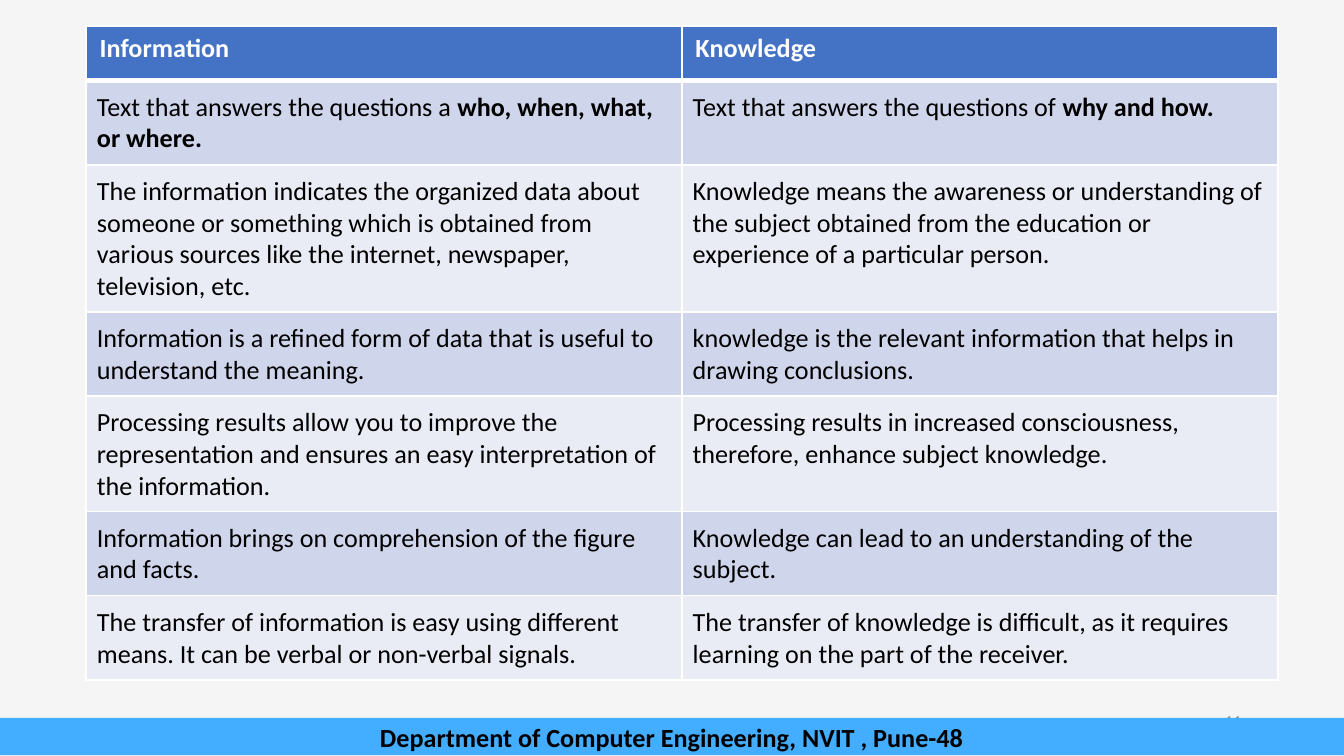
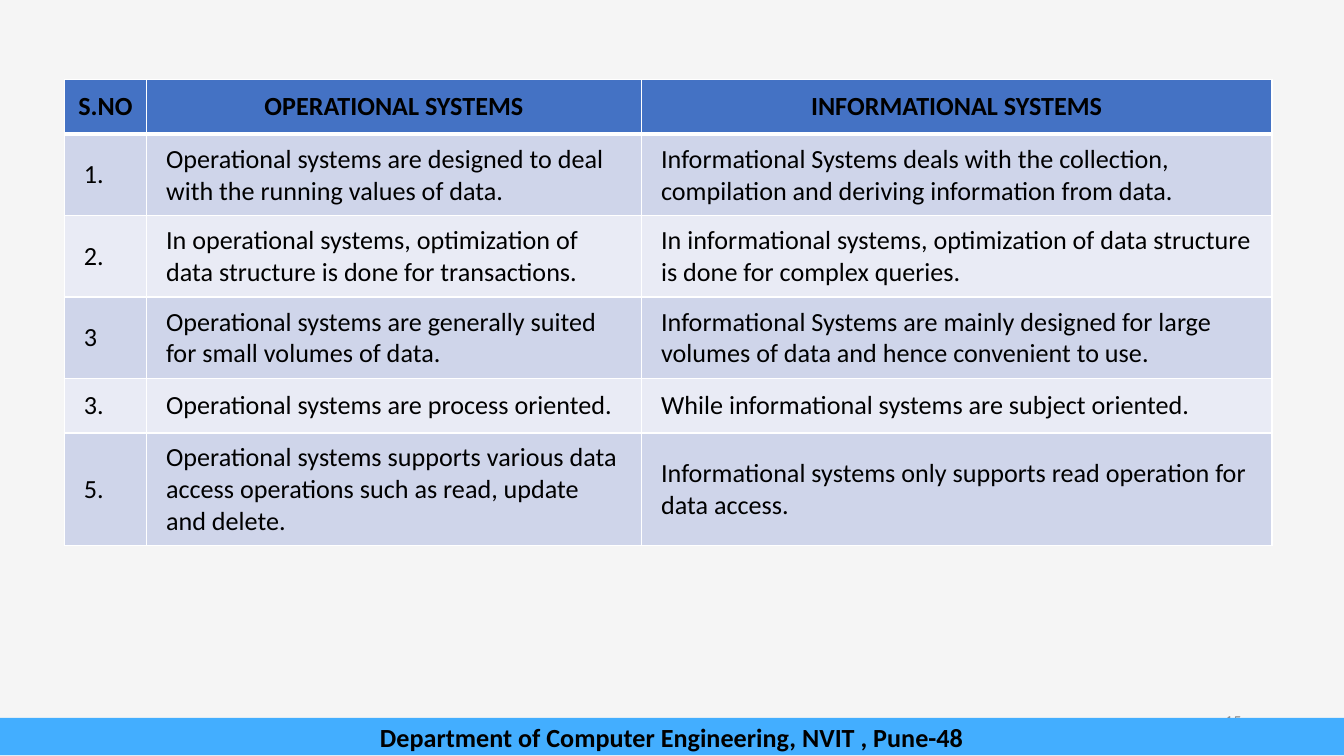
from dataclasses import dataclass

from lxml import etree
from pptx import Presentation
from pptx.dml.color import RGBColor
from pptx.enum.shapes import MSO_SHAPE
from pptx.enum.text import MSO_ANCHOR, PP_ALIGN
from pptx.oxml.ns import qn
from pptx.util import Pt

LEFT, CENTER, RIGHT = PP_ALIGN.LEFT, PP_ALIGN.CENTER, PP_ALIGN.RIGHT
TOP, MIDDLE = MSO_ANCHOR.TOP, MSO_ANCHOR.MIDDLE
RECTANGLE = MSO_SHAPE.RECTANGLE


@dataclass(frozen=True)
class Theme:
    font: str = "Calibri"
    body_size: float = 14
    number_size: float = 9
    background: str = "F5F5F5"
    header_fill: str = "4472C4"
    odd_row: str = "CFD5EA"
    even_row: str = "E9EBF5"
    band: str = "43AEFF"
    white: str = "FFFFFF"
    black: str = "000000"
    gray: str = "8C8C8C"


@dataclass(frozen=True)
class TableStyle:
    header_color: str
    header_align: PP_ALIGN
    header_insets: tuple
    body_insets: tuple
    anchor: MSO_ANCHOR


THEME = Theme()
WIDTH, HEIGHT = 720, 405
ROW_HEIGHT = 29.2
NUMBER_BOX = (508.5, 375.3, 162, 21.6)
BAND_BOX = (0, 384.6, WIDTH, 20)
FOOTER = "Department of Computer Engineering, NVIT , Pune-48"

KNOWLEDGE_STYLE = TableStyle(THEME.white, LEFT, (7.2, 3.6), (5.75, 5.75), TOP)
SYSTEMS_STYLE = TableStyle(THEME.black, CENTER, (5.75, 5.75), (10.5, 5), MIDDLE)

# A cell is a string, or a pair of plain text and bold text.
KNOWLEDGE_ROWS = [
    ("Information", "Knowledge"),
    (("Text that answers the questions a ", "who, when, what, or where."),
     ("Text that answers the questions of ", "why and how.")),
    ("The information indicates the organized data about someone or something "
     "which is obtained from various sources like the internet, newspaper, "
     "television, etc.",
     "Knowledge means the awareness or understanding of the subject obtained "
     "from the education or experience of a particular person."),
    ("Information is a refined form of data that is useful to understand the meaning.",
     "knowledge is the relevant information that helps in drawing conclusions."),
    ("Processing results allow you to improve the representation and ensures "
     "an easy interpretation of the information.",
     "Processing results in increased consciousness, therefore, enhance subject knowledge."),
    ("Information brings on comprehension of the figure and facts.",
     "Knowledge can lead to an understanding of the subject."),
    ("The transfer of information is easy using different means. "
     "It can be verbal or non-verbal signals.",
     "The transfer of knowledge is difficult, as it requires learning "
     "on the part of the receiver."),
]

SYSTEMS_ROWS = [
    ("S.NO", "OPERATIONAL SYSTEMS", "INFORMATIONAL SYSTEMS"),
    ("1.", "Operational systems are designed to deal with the running values of data.",
     "Informational Systems deals with the collection, compilation and "
     "deriving information from data."),
    ("2.", "In operational systems, optimization of data structure is done for transactions.",
     "In informational systems, optimization of data structure is done for complex queries."),
    ("3", "Operational systems are generally suited for small volumes of data.",
     "Informational Systems are mainly designed for large volumes of data "
     "and hence convenient to use."),
    ("3.", "Operational systems are process oriented.",
     "While informational systems are subject oriented."),
    ("5.", "Operational systems supports various data access operations such as "
     "read, update and delete.",
     "Informational systems only supports read operation for data access."),
]


def rgb(color):
    return RGBColor.from_string(color)


def write(tf, parts, size, color, align):
    """Fill the first paragraph with (text, bold) parts."""
    p = tf.paragraphs[0]
    p.alignment = align
    for text, bold in parts:
        r = p.add_run()
        r.text = text
        r.font.name = THEME.font
        r.font.size = Pt(size)
        r.font.bold = bold
        r.font.color.rgb = rgb(color)


def set_insets(target, insets):
    x, y = map(Pt, insets)
    target.margin_left = target.margin_right = x
    target.margin_top = target.margin_bottom = y


def add_borders(cell, bottom):
    tcPr = cell._tc.get_or_add_tcPr()
    for side, width in (("L", 1), ("R", 1), ("T", 1), ("B", bottom)):
        ln = etree.SubElement(tcPr, qn(f"a:ln{side}"), w=str(Pt(width)))
        fill = etree.SubElement(ln, qn("a:solidFill"))
        etree.SubElement(fill, qn("a:srgbClr"), val=THEME.white)


def fill_cell(cell, content, row, style):
    header = row == 0
    add_borders(cell, 3 if header else 1)
    cell.fill.solid()
    band = THEME.odd_row if row % 2 else THEME.even_row
    cell.fill.fore_color.rgb = rgb(THEME.header_fill if header else band)
    set_insets(cell, style.header_insets if header else style.body_insets)
    cell.vertical_anchor = style.anchor
    if isinstance(content, str):
        parts = [(content, header)]
    else:
        parts = zip(content, (False, True))
    write(cell.text_frame, parts, THEME.body_size,
          style.header_color if header else THEME.black,
          style.header_align if header else LEFT)


def add_comparison(slide, box, col_widths, rows, style):
    frame = slide.shapes.add_table(len(rows), len(col_widths), *map(Pt, box))
    table = frame.table
    for column, width in zip(table.columns, col_widths):
        column.width = Pt(width)
    for i, row in enumerate(rows):
        table.rows[i].height = Pt(ROW_HEIGHT)
        for j, content in enumerate(row):
            fill_cell(table.cell(i, j), content, i, style)
    frame.height = Pt(box[3])


def add_number(slide, box, number):
    tf = slide.shapes.add_textbox(*map(Pt, box)).text_frame
    tf.word_wrap = True
    tf.vertical_anchor = MIDDLE
    set_insets(tf, (5.4, 2.7))
    write(tf, [(number, False)], THEME.number_size, THEME.gray, RIGHT)


def add_band(slide, box):
    s = slide.shapes.add_shape(RECTANGLE, *map(Pt, box))
    s.shadow.inherit = False
    s.fill.solid()
    s.fill.fore_color.rgb = rgb(THEME.band)
    s.line.fill.background()
    s.text_frame.vertical_anchor = MIDDLE
    write(s.text_frame, [(FOOTER, True)], THEME.body_size, THEME.black, CENTER)


def add_table_slide(prs, number, box, col_widths, rows, style):
    slide = prs.slides.add_slide(prs.slide_layouts[6])
    add_number(slide, NUMBER_BOX, number)
    add_comparison(slide, box, col_widths, rows, style)
    add_band(slide, BAND_BOX)


def main():
    prs = Presentation()
    prs.slide_width, prs.slide_height = Pt(WIDTH), Pt(HEIGHT)
    background = prs.slide_master.background.fill
    background.solid()
    background.fore_color.rgb = rgb(THEME.background)
    add_table_slide(prs, "11", (46.2, 14, 638.4, 353.5), (319.2, 319.2),
                    KNOWLEDGE_ROWS, KNOWLEDGE_STYLE)
    add_table_slide(prs, "15", (34.5, 42.6, 647, 251.3), (44, 265.2, 337.8),
                    SYSTEMS_ROWS, SYSTEMS_STYLE)
    prs.save("out.pptx")


if __name__ == "__main__":
    main()
